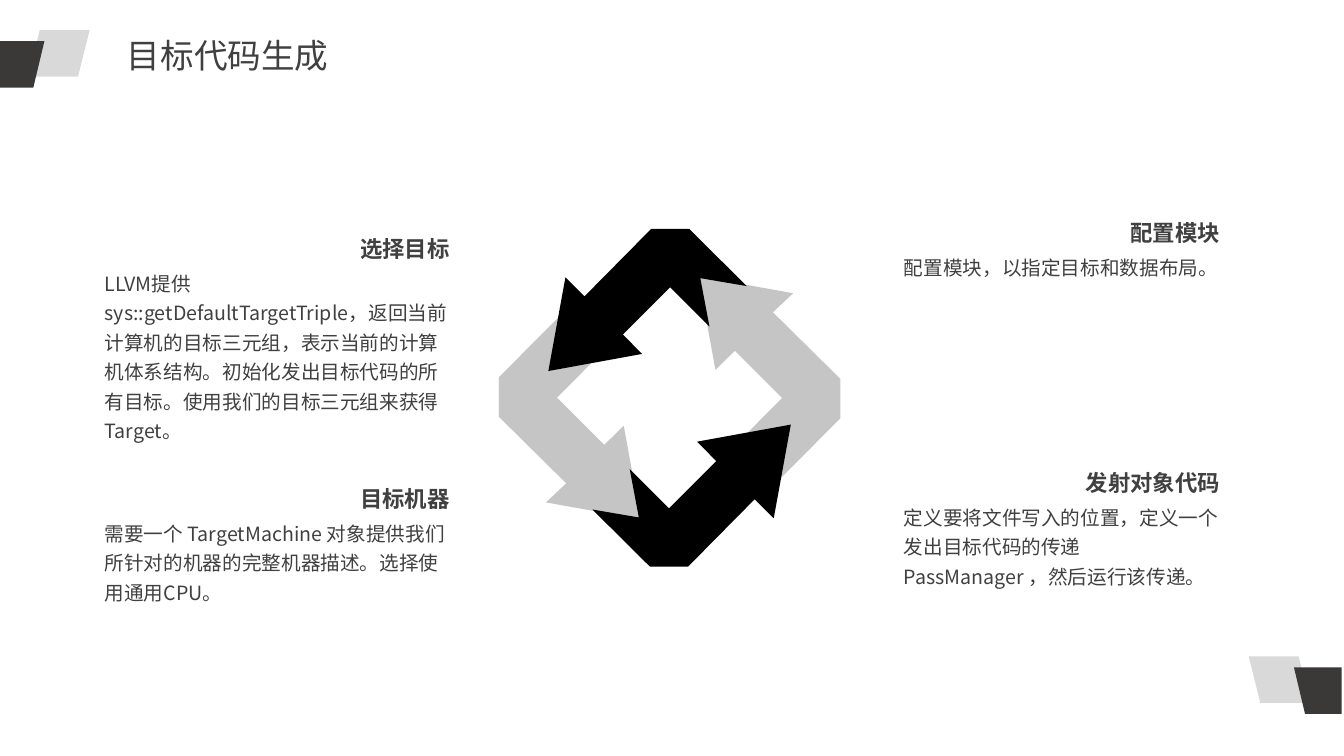
from dataclasses import dataclass

from lxml import etree
from pptx import Presentation
from pptx.dml.color import RGBColor
from pptx.enum.shapes import MSO_SHAPE
from pptx.enum.text import MSO_AUTO_SIZE, PP_ALIGN
from pptx.oxml.ns import qn
from pptx.util import Cm, Pt

PARALLELOGRAM = MSO_SHAPE.PARALLELOGRAM
GROW = MSO_AUTO_SIZE.SHAPE_TO_FIT_TEXT
LEFT, RIGHT, JUSTIFY = PP_ALIGN.LEFT, PP_ALIGN.RIGHT, PP_ALIGN.JUSTIFY


@dataclass(frozen=True)
class Theme:
    font: str = "Noto Sans CJK SC"
    text: str = "404040"
    light: str = "D9D9D9"
    dark: str = "3B3838"
    gray: str = "BFBFBF"
    black: str = "000000"
    title_size: int = 24
    heading_size: int = 16
    body_size: int = 14
    body_spacing: float = 1.25


class SlideBuilder:
    def __init__(self, slide, theme):
        self.theme = theme
        self.slide = slide
        self.shapes = slide.shapes

    def start_group(self):
        self.shapes = self.slide.shapes.add_group_shape().shapes

    def end_group(self):
        self.shapes = self.slide.shapes

    def paint(self, shape, color, opacity=100):
        shape.shadow.inherit = False
        shape.fill.solid()
        shape.fill.fore_color.rgb = RGBColor.from_string(color)
        shape.line.fill.background()
        if opacity < 100:
            color_element = shape.fill._xPr.find(qn("a:solidFill"))[0]
            alpha = etree.SubElement(color_element, qn("a:alpha"))
            alpha.set("val", str(opacity * 1000))

    def parallelogram(self, left, top, width, height, color, flipped=False):
        shape = self.shapes.add_shape(
            PARALLELOGRAM, Cm(left), Cm(top), Cm(width), Cm(height))
        self.paint(shape, color)
        if flipped:
            shape._element.spPr.find(qn("a:xfrm")).set("flipH", "1")

    def polygon(self, points, color, opacity=100):
        corners = [(Cm(x), Cm(y)) for x, y in points]
        builder = self.shapes.build_freeform(*corners[0])
        builder.add_line_segments(corners[1:], close=True)
        self.paint(builder.convert_to_shape(), color, opacity)

    def text(self, content, left, top, width, height, size,
             align=LEFT, bold=False, spacing=1.0):
        shape = self.shapes.add_textbox(
            Cm(left), Cm(top), Cm(width), Cm(height))
        frame = shape.text_frame
        frame.word_wrap = True
        frame.auto_size = GROW
        paragraph = frame.paragraphs[0]
        paragraph.alignment = align
        paragraph.line_spacing = spacing
        run = paragraph.add_run()
        run.text = content
        run.font.size = Pt(size)
        run.font.bold = bold
        run.font.color.rgb = RGBColor.from_string(self.theme.text)
        run.font.name = self.theme.font
        east_asian = etree.SubElement(run._r.get_or_add_rPr(), qn("a:ea"))
        east_asian.set("typeface", self.theme.font)

    def card(self, heading, heading_width, body, left, top, width, height):
        theme = self.theme
        self.text(body, left, top, width, height, theme.body_size,
                  spacing=theme.body_spacing)
        self.text(heading, left + width - heading_width, top - 0.77,
                  heading_width, 0.94, theme.heading_size, RIGHT, bold=True)

    def corner(self, opposite=False):
        left, top, width, height = 0.71, 0.76, 1.55, 1.17
        dark_points = [(-0.08, 1.04), (1.12, 1.04), (0.84, 2.21), (-0.08, 2.21)]
        if opposite:
            mirror, drop = 33.73, 15.78
            left, top = mirror - left - width, top + drop
            dark_points = [(mirror - x, y + drop) for x, y in dark_points]
        self.start_group()
        self.parallelogram(left, top, width, height, self.theme.light, opposite)
        self.polygon(dark_points, self.theme.dark)
        self.end_group()

    def arrow_pair(self, points, color, opacity=100):
        self.polygon(points, color, opacity)
        self.polygon([(33.75 - x, 20.05 - y) for x, y in points], color, opacity)


GRAY_ARROW = [
    (19.28, 12.45), (18.29, 11.46), (19.71, 10.03), (18.52, 8.84),
    (18.03, 9.32), (17.6, 6.96), (19.99, 7.39), (19.48, 7.87),
    (21.18, 9.55), (21.18, 10.54),
]
BLACK_ARROW = [
    (17.37, 5.77), (18.82, 7.21), (17.65, 7.01), (17.88, 8.23),
    (16.89, 7.24), (15.7, 8.43), (16.18, 8.92), (13.82, 9.35),
    (14.25, 6.99), (14.73, 7.47), (16.41, 5.77),
]
CARDS = [
    ("选择目标", 3.45,
     "LLVM提供sys::getDefaultTargetTriple，返回当前计算机的目标三元组，"
     "表示当前的计算机体系结构。初始化发出目标代码的所有目标。"
     "使用我们的目标三元组来获得Target。",
     2.39, 6.58, 9.19, 3.94),
    ("目标机器", 3.45,
     "需要一个 TargetMachine 对象提供我们所针对的机器的完整机器描述。"
     "选择使用通用CPU。",
     2.39, 12.88, 9.19, 2.44),
    ("配置模块", 3.45, "配置模块，以指定目标和数据布局。",
     22.53, 6.17, 8.46, 1.68),
    ("发射对象代码", 3.96,
     "定义要将文件写入的位置，定义一个发出目标代码的传递 "
     "PassManager ，然后运行该传递。",
     22.53, 12.47, 8.46, 2.44),
]


def main():
    presentation = Presentation()
    presentation.slide_width = Cm(33.87)
    presentation.slide_height = Cm(19.05)
    slide = presentation.slides.add_slide(presentation.slide_layouts[6])
    theme = Theme()
    builder = SlideBuilder(slide, theme)

    builder.corner()
    builder.corner(opposite=True)
    builder.text("目标代码生成", 2.95, 0.76, 15.06, 1.27,
                 theme.title_size, JUSTIFY)

    builder.start_group()
    builder.arrow_pair(GRAY_ARROW, theme.gray, opacity=90)
    builder.arrow_pair(BLACK_ARROW, theme.black)
    builder.end_group()

    for card in CARDS:
        builder.card(*card)

    presentation.save("out.pptx")


if __name__ == "__main__":
    main()
